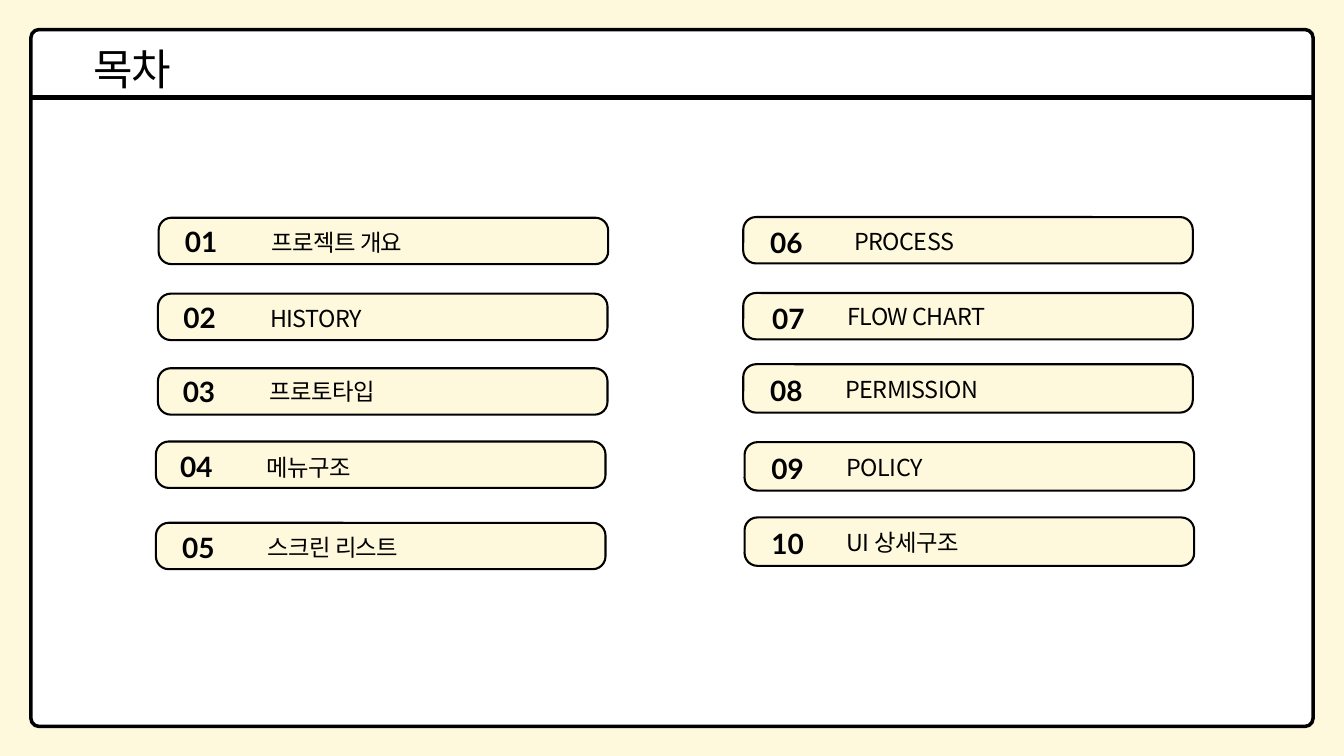
from lxml import etree
from pptx import Presentation
from pptx.dml.color import RGBColor
from pptx.enum.shapes import MSO_CONNECTOR, MSO_SHAPE
from pptx.enum.text import MSO_ANCHOR, MSO_AUTO_SIZE, PP_ALIGN
from pptx.oxml.ns import qn
from pptx.util import Inches, Pt

ROUNDED = MSO_SHAPE.ROUNDED_RECTANGLE
STRAIGHT = MSO_CONNECTOR.STRAIGHT
TOP = MSO_ANCHOR.TOP
NO_AUTOFIT = MSO_AUTO_SIZE.NONE
LEFT, CENTER = PP_ALIGN.LEFT, PP_ALIGN.CENTER

COLORS = {"cream": "FEF9DC", "white": "FFFFFF", "black": "000000"}
NUMBER_FONT = "Lato"
KOREAN_FONT = "Noto Sans CJK KR"

# Label, bar (left, top, height), number (left, top), label (left, top)
ENTRIES = [
    ("프로젝트 개요", (2.36, 3.24, 0.69), (2.75, 3.32), (4.04, 3.32)),
    ("HISTORY", (2.35, 4.37, 0.69), (2.73, 4.45), (4.02, 4.46)),
    ("프로토타입", (2.35, 5.48, 0.69), (2.72, 5.55), (4.01, 5.55)),
    ("메뉴구조", (2.32, 6.57, 0.69), (2.68, 6.67), (3.97, 6.68)),
    ("스크린 리스트", (2.32, 7.78, 0.69), (2.71, 7.87), (3.98, 7.87)),
    ("PROCESS", (11.06, 3.23, 0.69), (11.46, 3.33), (12.71, 3.31)),
    ("FLOW CHART", (11.06, 4.36, 0.69), (11.49, 4.46), (12.61, 4.43)),
    ("PERMISSION", (11.06, 5.42, 0.72), (11.46, 5.53), (12.58, 5.52)),
    ("POLICY", (11.08, 6.58, 0.72), (11.48, 6.7), (12.6, 6.68)),
    ("UI 상세구조", (11.08, 7.7, 0.72), (11.48, 7.81), (12.6, 7.79)),
]


class ContentsPage:
    def __init__(self, deck):
        self.page = deck.slides.add_slide(deck.slide_layouts[5])
        self.paint(self.page.background.fill, "cream")

    def paint(self, fill, color):
        fill.solid()
        fill.fore_color.rgb = RGBColor.from_string(COLORS[color])

    def outline(self, line, width):
        self.paint(line.fill, "black")
        line.width = Pt(width)

    def rounded_box(self, left, top, width, height, radius, color, line_width):
        box = self.page.shapes.add_shape(
            ROUNDED, Inches(left), Inches(top), Inches(width), Inches(height))
        box.adjustments[0] = radius / min(width, height)
        box.shadow.inherit = False
        self.paint(box.fill, color)
        self.outline(box.line, line_width)

    def rule(self, left, right, y, width):
        rule = self.page.shapes.add_connector(
            STRAIGHT, Inches(left), Inches(y), Inches(right), Inches(y))
        self.outline(rule.line, width)
        etree.SubElement(rule._element.spPr, qn("a:effectLst"))

    def set_text(self, box, text, size, font, leading, align=LEFT, bold=False, tracking=0):
        frame = box.text_frame
        frame.word_wrap = True
        frame.auto_size = NO_AUTOFIT
        frame.vertical_anchor = TOP
        frame.margin_left = frame.margin_right = 0
        frame.margin_top = frame.margin_bottom = 0
        para = frame.paragraphs[0]
        para.alignment = align
        para.line_spacing = Pt(leading)
        span = para.add_run()
        span.text = text
        span.font.size = Pt(size)
        span.font.bold = bold
        span.font.name = font
        self.paint(span.font.fill, "black")
        properties = span._r.get_or_add_rPr()
        etree.SubElement(properties, qn("a:ea"), typeface=font)
        if tracking:
            properties.set("spc", str(round(tracking * 100)))

    def title(self, text, left, top, width, height):
        box = self.page.shapes.title
        box.left, box.top = Inches(left), Inches(top)
        box.width, box.height = Inches(width), Inches(height)
        self.page.shapes.element.append(box.element)  # bring in front of the frame
        self.set_text(box, text, 46, KOREAN_FONT, 64.4, CENTER, tracking=-0.9)

    def text(self, text, left, top, width, height, **style):
        box = self.page.shapes.add_textbox(
            Inches(left), Inches(top), Inches(width), Inches(height))
        self.set_text(box, text, **style)

    def entry(self, number, label, bar, number_at, label_at):
        left, top, height = bar
        self.rounded_box(left, top, 6.69, height, 0.19, "cream", 2.25)
        self.text(f"{number:02}", *number_at, 1.01, 0.49,
                  size=30, font=NUMBER_FONT, leading=37.8, bold=True)
        self.text(label, *label_at, 4.83, 0.46,
                  size=25, font=KOREAN_FONT, leading=35, tracking=-0.5)


def main():
    deck = Presentation()
    deck.slide_width, deck.slide_height = Inches(20), Inches(11.25)
    contents = ContentsPage(deck)

    # Window frame and heading
    contents.rounded_box(0.46, 0.44, 19.08, 10.37, 0.12, "white", 3.75)
    contents.rule(0.46, 19.54, 1.45, 4.96)
    contents.title("목차", -0.48, 0.51, 4.9, 0.86)

    # Numbered entries
    for number, entry in enumerate(ENTRIES, start=1):
        contents.entry(number, *entry)

    deck.save("out.pptx")


if __name__ == "__main__":
    main()
